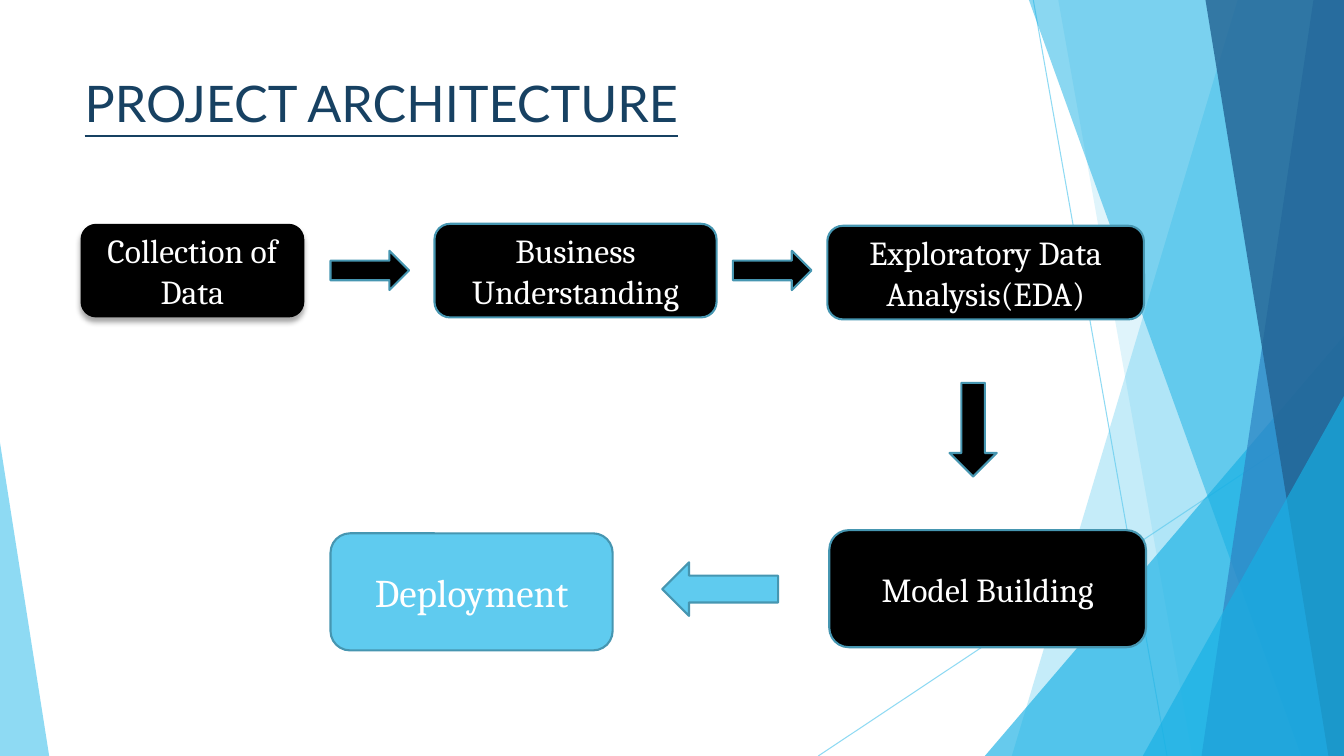
"""Build the project architecture slide: a five-step flow beside a faceted ribbon."""
from lxml.etree import SubElement
from pptx import Presentation
from pptx.dml.color import RGBColor
from pptx.enum.shapes import MSO_CONNECTOR, MSO_SHAPE
from pptx.enum.text import MSO_ANCHOR, MSO_AUTO_SIZE, PP_ALIGN
from pptx.oxml.ns import qn
from pptx.util import Cm, Pt

WIDTH, HEIGHT = 33.87, 19.05
BLACK, WHITE, NAVY = "000000", "FFFFFF", "174162"
SKY, CYAN, BLUE, DEEP, EDGE = "5FCBEF", "17B0E4", "2E83C3", "226292", "4696B1"


def paint(colour_format, colour):
    colour_format.rgb = RGBColor.from_string(colour)


def set_opacity(element, percent):
    colour = next(element.iter(qn("a:srgbClr")))
    SubElement(colour, qn("a:alpha"), val=str(percent * 1000))


def style(shape, fill, opacity=100, edge=None):
    shape.shadow.inherit = False
    shape.fill.solid()
    paint(shape.fill.fore_color, fill)
    if opacity < 100:
        set_opacity(shape.fill._xPr, opacity)
    if edge:
        paint(shape.line.color, edge)
        shape.line.width = Pt(1.5)
    else:
        shape.line.fill.background()


def add_preset(page, kind, place, fill, opacity=100, edge=None):
    shape = page.shapes.add_shape(kind, *map(Cm, place))
    style(shape, fill, opacity, edge)
    return shape


def add_hairline(page, start, end):
    line = page.shapes.add_connector(MSO_CONNECTOR.STRAIGHT, *map(Cm, start + end))
    paint(line.line.color, SKY)
    line.line.width = Pt(0.75)
    properties = line._element.spPr
    set_opacity(properties, 70)
    SubElement(properties, qn("a:effectLst"))


def add_ribbon(page, top_x, bottom_x, fill, opacity):
    builder = page.shapes.build_freeform(Cm(top_x), 0)
    corners = [(WIDTH, 0), (WIDTH, HEIGHT), (bottom_x, HEIGHT)]
    builder.add_line_segments([(Cm(x), Cm(y)) for x, y in corners])
    style(builder.convert_to_shape(), fill, opacity)


def add_triangle(page, place, apex, fill, opacity):
    shape = add_preset(page, MSO_SHAPE.ISOSCELES_TRIANGLE, place, fill, opacity)
    shape.adjustments[0] = apex


def add_span(para, words, font, size, colour):
    span = para.add_run()
    span.text = words
    span.font.name = font
    span.font.size = Pt(size)
    paint(span.font.color, colour)
    return span


def add_step(page, words, place, fill=BLACK, size=24, edge=EDGE):
    box = add_preset(page, MSO_SHAPE.ROUNDED_RECTANGLE, place, fill, edge=edge)
    box.text_frame.word_wrap = True
    box.text_frame.vertical_anchor = MSO_ANCHOR.MIDDLE
    para = box.text_frame.paragraphs[0]
    para.alignment = PP_ALIGN.CENTER
    add_span(para, words, "Cambria", size, WHITE)
    return box


def add_drop_shadow(box):
    effects = box._element.spPr.find(qn("a:effectLst"))
    shadow = SubElement(effects, qn("a:outerShdw"), blurRad=str(Pt(4)),
                        dist=str(Pt(3)), dir="5400000", rotWithShape="0")
    SubElement(shadow, qn("a:srgbClr"), val=BLACK)
    set_opacity(shadow, 35)


def add_backdrop(page):
    add_hairline(page, (26.04, 0), (29.41, HEIGHT))
    add_hairline(page, (WIDTH, 10.24), (20.62, HEIGHT))
    add_ribbon(page, 31.19, 25.5, SKY, 36)
    add_ribbon(page, 26.67, 30.05, SKY, 20)
    add_triangle(page, (24.82, 8.46, 9.05, 10.59), 1, CYAN, 66)
    add_ribbon(page, 25.93, 32.79, CYAN, 50)
    add_ribbon(page, 33.1, 30.28, BLUE, 70)
    add_ribbon(page, 30.38, 33.48, DEEP, 80)
    add_triangle(page, (28.8, 9.98, 5.07, 9.07), 1, CYAN, 66)
    add_triangle(page, (0, 11.15, 1.24, 7.9), 0, SKY, 70)


def set_title(page, words):
    title = page.shapes.title
    title.left, title.top, title.width, title.height = map(Cm, (1.88, 1.7, 23.88, 14.71))
    frame = title.text_frame
    frame.word_wrap = True
    frame.auto_size = MSO_AUTO_SIZE.NONE
    frame.vertical_anchor = MSO_ANCHOR.TOP
    para = frame.paragraphs[0]
    para.alignment = PP_ALIGN.LEFT
    add_span(para, words, "Lato", 36, NAVY).font.underline = True
    page.shapes._spTree.append(title._element)


def add_flow(page):
    first = add_step(page, "Collection of Data", (2.03, 5.64, 5.64, 2.36), edge=None)
    add_drop_shadow(first)
    add_step(page, "Business Understanding", (10.95, 5.64, 7.11, 2.36))
    add_step(page, "Exploratory Data Analysis(EDA)", (20.85, 5.69, 7.98, 2.36))
    add_step(page, "Model Building", (20.9, 13.36, 7.98, 2.95))
    add_step(page, "Deployment", (8.33, 13.44, 7.11, 2.95), SKY, 28)
    for left in (8.33, 18.47):
        add_preset(page, MSO_SHAPE.RIGHT_ARROW, (left, 6.32, 1.98, 0.99), BLACK, edge=EDGE)
    add_preset(page, MSO_SHAPE.DOWN_ARROW, (23.93, 9.65, 1.19, 2.36), BLACK, edge=EDGE)
    add_preset(page, MSO_SHAPE.LEFT_ARROW, (16.69, 14.17, 2.92, 1.35), SKY, edge=EDGE)


def main():
    deck = Presentation()
    deck.slide_width, deck.slide_height = Cm(WIDTH), Cm(HEIGHT)
    page = deck.slides.add_slide(deck.slide_layouts.get_by_name("Title Only"))
    add_backdrop(page)
    set_title(page, "PROJECT ARCHITECTURE")
    add_flow(page)
    deck.save("out.pptx")


if __name__ == "__main__":
    main()
